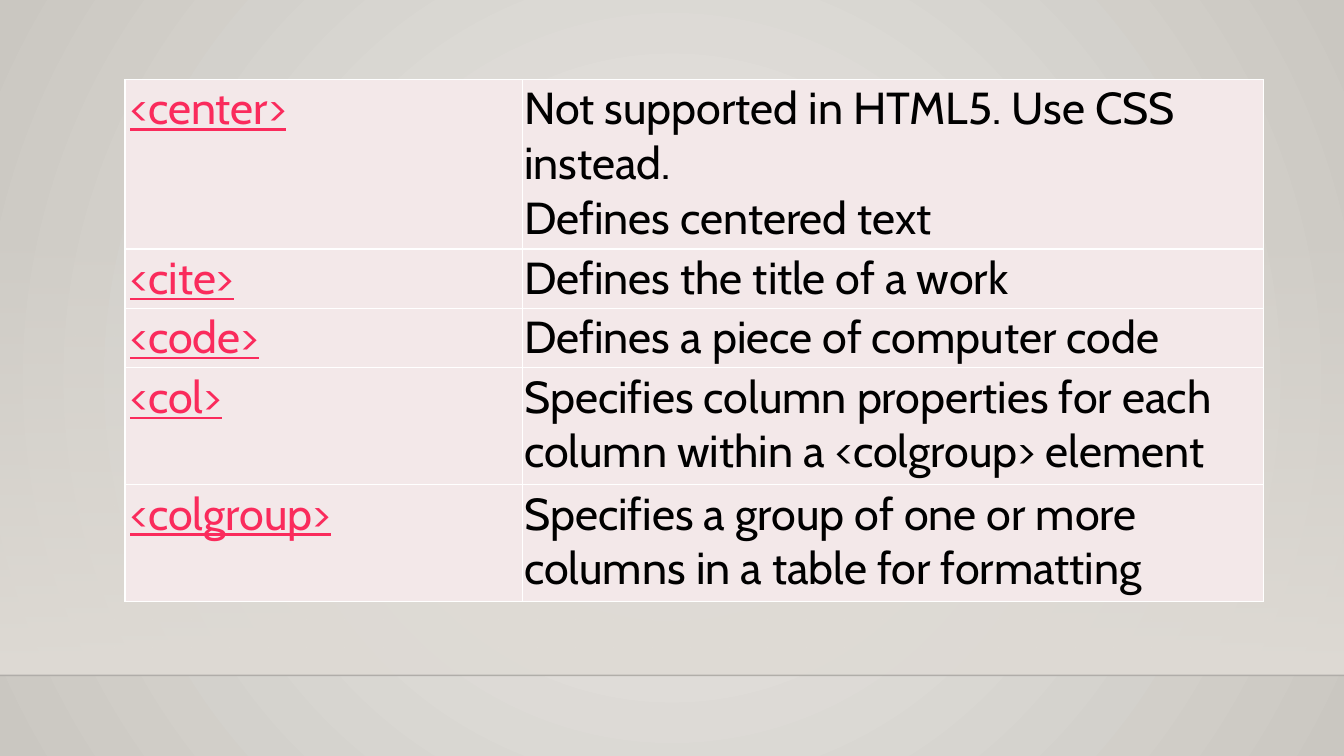
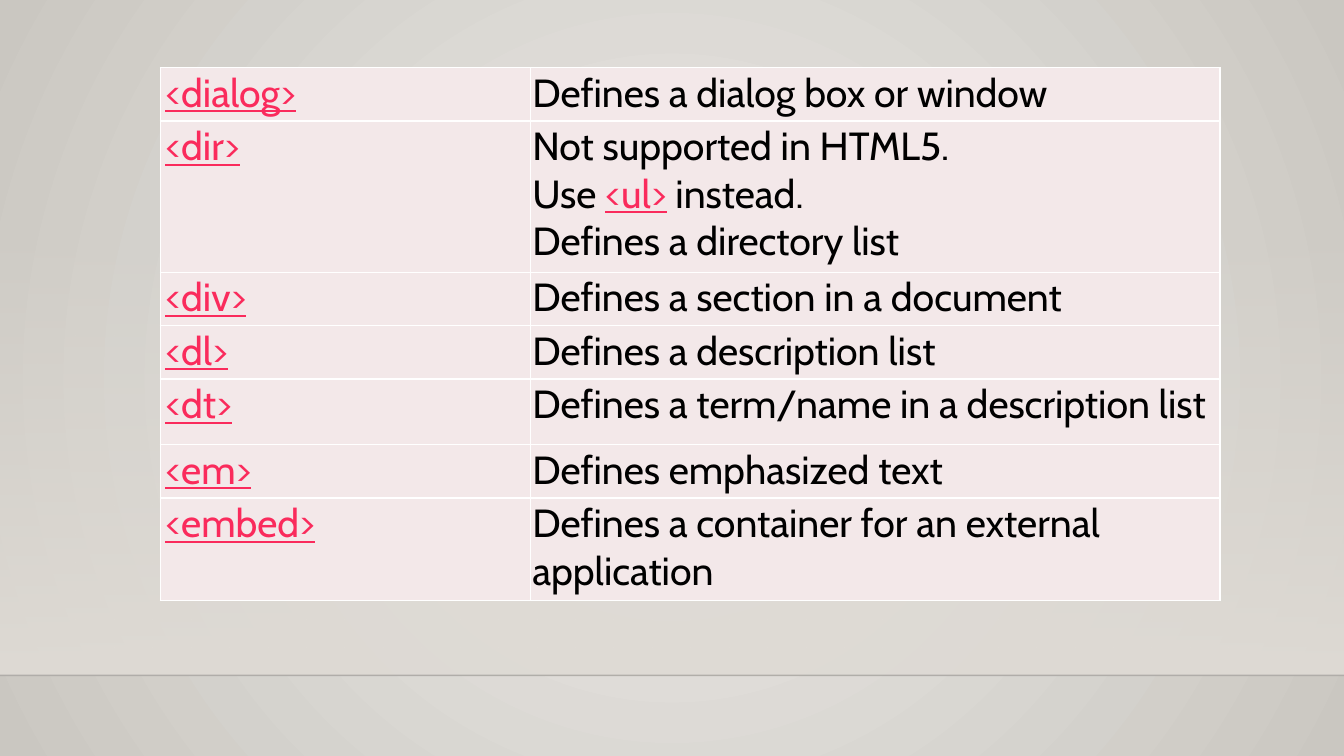
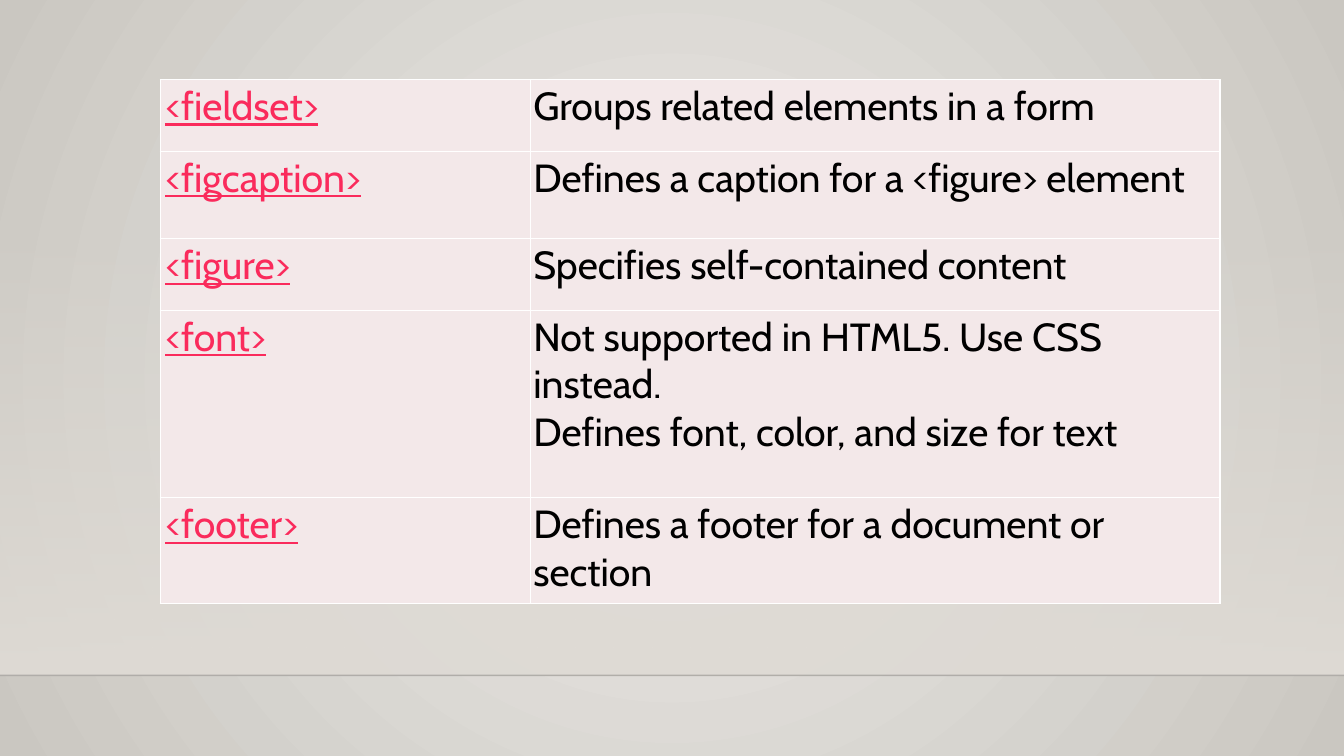
from pptx import Presentation
from pptx.dml.color import RGBColor
from pptx.enum.shapes import MSO_CONNECTOR, MSO_SHAPE
from pptx.oxml import parse_xml
from pptx.oxml.ns import nsdecls, qn
from pptx.util import Inches, Pt

FONT = "Cabin"
TAG, TEXT, CELL = "FA2B5C", "000000", "F3E8E9"
CENTER, EDGE, WALL, FLOOR_LINE = "ECEAE7", "CAC7C1", "DFDBD5", "000001"
FLOOR = 6.7

BORDERS = [
    f'<a:{side} {nsdecls("a")} w="12700"><a:solidFill>'
    f'<a:srgbClr val="FFFFFF"/></a:solidFill></a:{side}>'
    for side in ("lnL", "lnR", "lnT", "lnB")
]

# Text between bars is shown as an underlined tag.
TABLES = [
    dict(at=(1.24, 0.79), cols=(3.94, 7.35), size=32, pad=0.02, rows=[
        (1.68, "<center>", "Not supported in HTML5. Use CSS instead.\nDefines centered text"),
        (0.59, "<cite>", "Defines the title of a work"),
        (0.59, "<code>", "Defines a piece of computer code"),
        (1.16, "<col>", "Specifies column properties for each column "
                        "within a <colgroup> element\u00a0"),
        (1.16, "<colgroup>", "Specifies a group of one or more columns "
                             "in a table for formatting"),
    ]),
    dict(at=(1.59, 0.67), cols=(3.67, 6.84), size=28, pad=0.02, rows=[
        (0.53, "<dialog>", "Defines a dialog box or window"),
        (1.5, "<dir>", "Not supported in HTML5. Use\u00a0|<ul>|\u00a0instead.\n"
                       "Defines a directory list"),
        (0.53, "<div>", "Defines a section in a document"),
        (0.53, "<dl>", "Defines a description list"),
        (0.65, "<dt>", "Defines a term/name in a description list"),
        (0.53, "<em>", "Defines emphasized text\u00a0"),
        (1.02, "<embed>", "Defines a container for an external application"),
    ]),
    dict(at=(1.59, 0.79), cols=(3.67, 6.84), size=28, pad=0.03, rows=[
        (0.71, "<fieldset>", "Groups related elements in a form"),
        (0.87, "<figcaption>", "Defines a caption for a <figure> element"),
        (0.71, "<figure>", "Specifies self-contained content"),
        (1.86, "<font>", "Not supported in HTML5. Use CSS instead.\n"
                         "Defines font, color, and size for text"),
        (1.05, "<footer>", "Defines a footer for a document or section"),
    ]),
]


def rgb(value):
    """Return the colour for a hex string."""
    return RGBColor.from_string(value)


def fill_cell(cell, text, size, left, pad):
    """Write text into a cell and give it the table's look."""
    cell.margin_left = Inches(left)
    cell.margin_right = cell.margin_top = cell.margin_bottom = Inches(pad)
    for border in BORDERS:
        cell._tc.get_or_add_tcPr().append(parse_xml(border))
    cell.fill.solid()
    cell.fill.fore_color.rgb = rgb(CELL)
    p = cell.text_frame.paragraphs[0]
    for i, line in enumerate(text.split("\n")):
        if i:
            p.add_line_break()
        for j, part in enumerate(line.split("|")):
            if part:
                is_tag = j % 2 == 1
                r = p.add_run()
                r.text = part
                r.font.name, r.font.size = FONT, Pt(size)
                r.font.underline = is_tag
                r.font.color.rgb = rgb(TAG if is_tag else TEXT)


prs = Presentation()
prs.slide_width, prs.slide_height = Inches(13.33), Inches(7.5)

# Shared radial background
master = prs.slide_master
fill = master.background.fill
fill.gradient()
for stop, colour in zip(fill.gradient_stops, (CENTER, EDGE)):
    stop.color.rgb = rgb(colour)
grad = master.element.find(".//" + qn("a:gradFill"))
grad.replace(grad.find(qn("a:lin")), parse_xml(
    f'<a:path {nsdecls("a")} path="circle">'
    '<a:fillToRect l="50000" t="50000" r="50000" b="50000"/></a:path>'))

for spec_table in TABLES:
    s = prs.slides.add_slide(prs.slide_layouts[6])

    # Wall that fades in downwards
    wall = s.shapes.add_shape(MSO_SHAPE.RECTANGLE, 0, Inches(2.21),
                              prs.slide_width, Inches(FLOOR - 2.21))
    wall.shadow.inherit = False
    wall.line.fill.background()
    wall.fill.gradient()
    wall.fill.gradient_angle = 270
    for stop in wall.fill.gradient_stops:
        stop.color.rgb = rgb(WALL)
    clear = wall._element.spPr.find(".//" + qn("a:srgbClr"))
    clear.append(parse_xml(f'<a:alpha {nsdecls("a")} val="0"/>'))

    # Floor line
    floor = s.shapes.add_connector(MSO_CONNECTOR.STRAIGHT, 0, Inches(FLOOR),
                                   prs.slide_width, Inches(FLOOR))
    floor.line.width = Pt(1)
    floor.line.color.rgb = rgb(FLOOR_LINE)
    floor_pr = floor._element.spPr
    floor_pr.find(".//" + qn("a:srgbClr")).append(
        parse_xml(f'<a:alpha {nsdecls("a")} val="20000"/>'))
    floor_pr.append(parse_xml(f'<a:effectLst {nsdecls("a")}/>'))

    # Tag table
    rows, cols = spec_table["rows"], spec_table["cols"]
    size, pad = spec_table["size"], spec_table["pad"]
    left, top = spec_table["at"]
    height = sum(row[0] for row in rows)
    table = s.shapes.add_table(len(rows), len(cols), Inches(left), Inches(top),
                               Inches(sum(cols)), Inches(height)).table
    table.first_row = table.horz_banding = False
    for column, width in zip(table.columns, cols):
        column.width = Inches(width)
    for i, (row_height, tag, meaning) in enumerate(rows):
        table.rows[i].height = Inches(row_height)
        fill_cell(table.cell(i, 0), f"|{tag}|", size, 0.05, pad)
        fill_cell(table.cell(i, 1), meaning, size, pad, pad)

prs.save("out.pptx")
